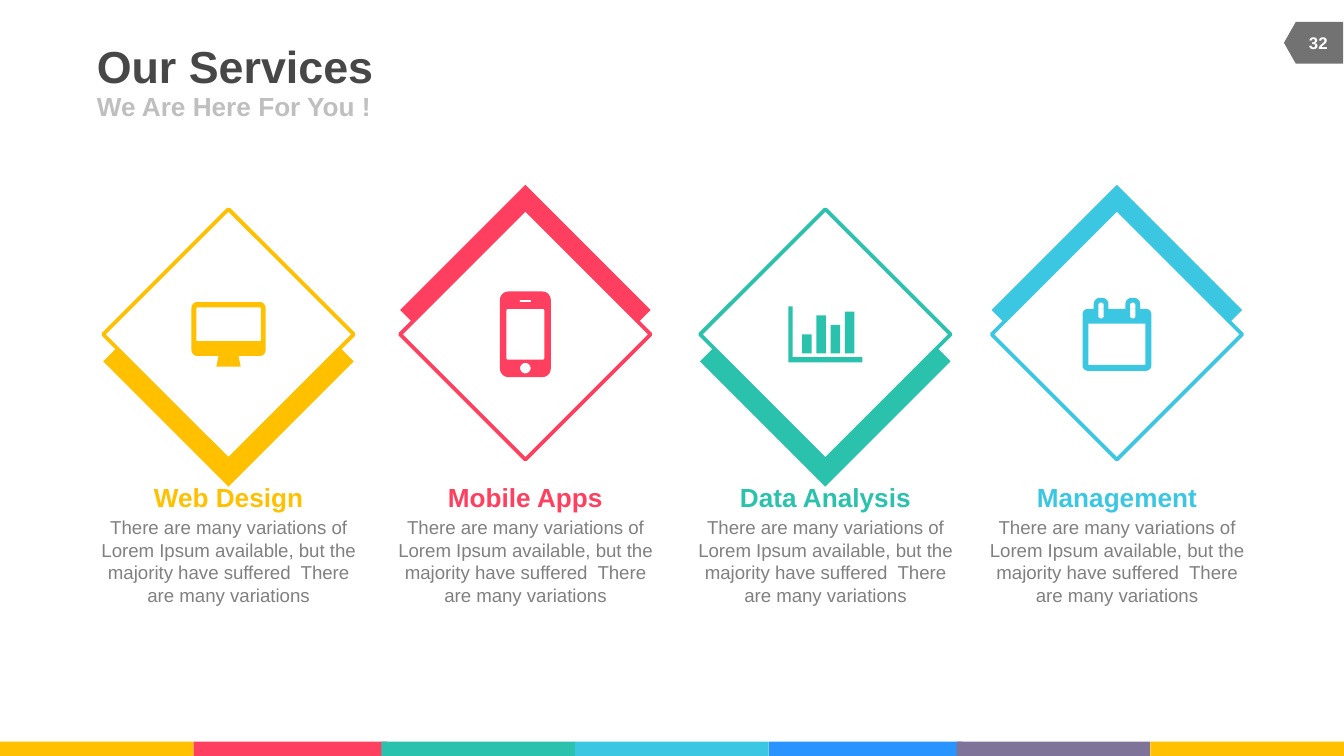
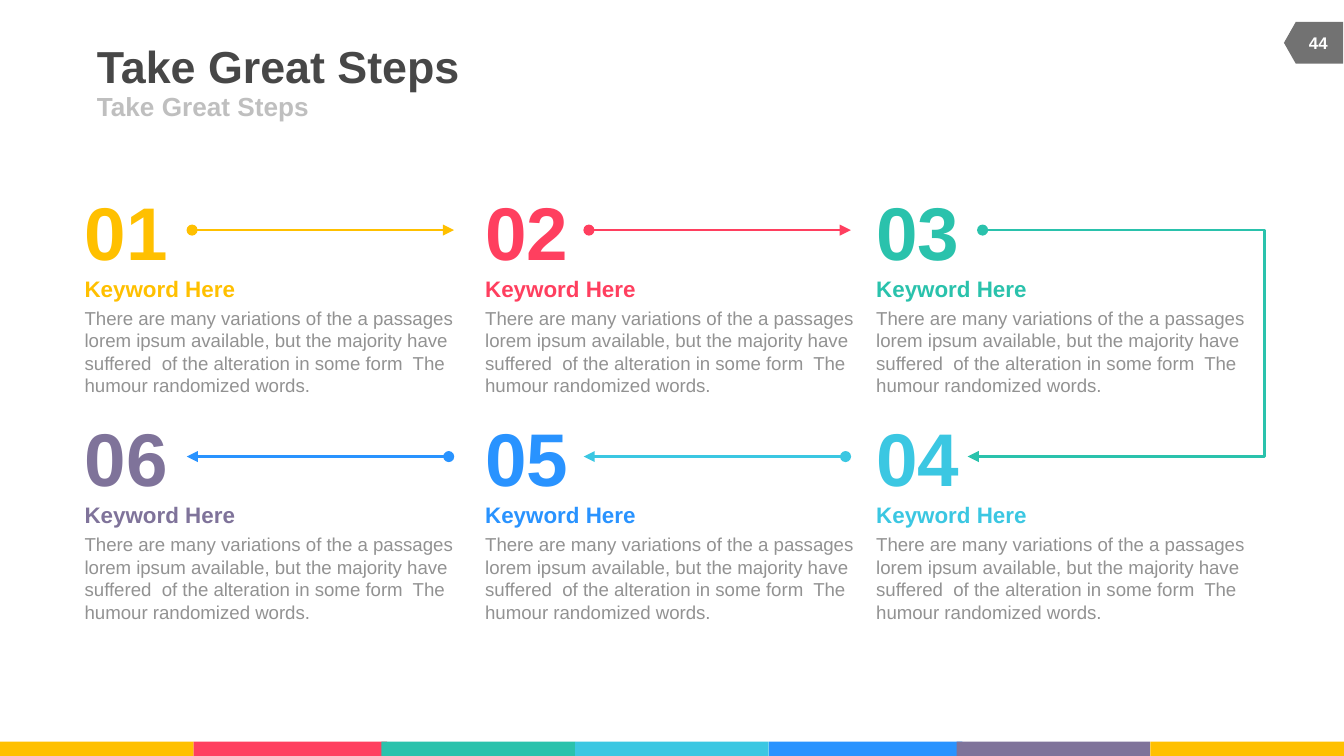
import math
from dataclasses import dataclass

import pptx
import pptx.dml.color
import pptx.enum.shapes
import pptx.enum.text
import pptx.oxml
import pptx.oxml.ns
import pptx.shapes.autoshape
import pptx.shapes.connector
import pptx.shapes.shapetree
import pptx.slide
import pptx.text.text
import pptx.util

Cm = pptx.util.Cm
Pt = pptx.util.Pt
Shape = pptx.enum.shapes.MSO_SHAPE
Connector = pptx.enum.shapes.MSO_CONNECTOR
Align = pptx.enum.text.PP_ALIGN
Anchor = pptx.enum.text.MSO_ANCHOR
Shapes = pptx.shapes.shapetree.SlideShapes
Point = tuple[float, float]
Contour = list[Point]

FONT = "Arial"
WHITE, DARK, BADGE = "FFFFFF", "474747", "727272"
SUBTITLE, SERVICE_TEXT, STEP_TEXT = "BFBFBF", "808080", "929292"
YELLOW, RED, GREEN = "FFC000", "FF3F5F", "2AC2AC"
CYAN, BLUE, PURPLE = "3BC7E2", "2993FF", "7F739A"
BAND_COLORS = (YELLOW, RED, GREEN, CYAN, BLUE, PURPLE, YELLOW)
BAND_LEFTS = (0, 3.66, 7.21, 10.87, 14.53, 18.08, 21.74)
SERVICE_BODY = (
    "There are many variations of Lorem Ipsum available, but the "
    "majority have suffered  There are many variations"
)
STEP_BODY = (
    "There are many variations of the a passages lorem ipsum available, "
    "but the majority have suffered  of the alteration in some form  "
    "The humour randomized words."
)


@dataclass(frozen=True)
class Box:
    """Position and size in centimetres."""

    left: float
    top: float
    width: float
    height: float

    def lengths(self) -> tuple[int, ...]:
        """Return the four lengths in drawing units."""
        return tuple(Cm(value) for value in (self.left, self.top, self.width, self.height))


@dataclass(frozen=True)
class TextLine:
    """One paragraph with its format."""

    text: str
    size: float
    color: str
    bold: bool = False
    align: Align = Align.LEFT
    space_before: float = 0


@dataclass(frozen=True)
class Service:
    """A diamond with an icon and a caption."""

    name: str
    color: str
    center: float
    band_shift: float
    icon: list[Contour]


@dataclass(frozen=True)
class Step:
    """A numbered step in the grid."""

    number: str
    color: str
    left: float
    top: float


@dataclass(frozen=True)
class Arrow:
    """A line between two points with its end marks."""

    color: str
    start: Point
    end: Point
    head: str = "oval"
    tail: str = "triangle"


def rgb(color: str) -> pptx.dml.color.RGBColor:
    """Turn a hex string into a colour."""
    return pptx.dml.color.RGBColor.from_string(color)


def write(frame: pptx.text.text.TextFrame, lines: list[TextLine], anchor: Anchor = Anchor.TOP,
          wrap: bool = True, inset: bool = False) -> None:
    """Fill a text frame with formatted paragraphs."""
    frame.word_wrap = wrap
    frame.vertical_anchor = anchor
    if not inset:
        frame.margin_left = frame.margin_right = frame.margin_top = frame.margin_bottom = 0
    for index, line in enumerate(lines):
        paragraph = frame.add_paragraph() if index else frame.paragraphs[0]
        paragraph.text = line.text
        paragraph.alignment = line.align
        if index:
            paragraph.space_before = Pt(line.space_before)
        paragraph.font.name = FONT
        paragraph.font.size = Pt(line.size)
        paragraph.font.bold = line.bold
        paragraph.font.color.rgb = rgb(line.color)


def add_text(shapes: Shapes, box: Box, lines: list[TextLine], anchor: Anchor = Anchor.TOP,
             wrap: bool = True, inset: bool = False) -> None:
    """Add a text box."""
    write(shapes.add_textbox(*box.lengths()).text_frame, lines, anchor, wrap, inset)


def paint(shape: pptx.shapes.autoshape.Shape, fill: str, line: str | None = None) -> None:
    """Set fill and outline and drop the shadow."""
    shape.shadow.inherit = False
    shape.fill.solid()
    shape.fill.fore_color.rgb = rgb(fill)
    if line:
        shape.line.color.rgb = rgb(line)
        shape.line.width = Pt(2)
    else:
        shape.line.fill.background()


def add_preset(shapes: Shapes, kind: Shape, box: Box, fill: str, rotation: float = 0,
               line: str | None = None) -> None:
    """Add a preset shape."""
    shape = shapes.add_shape(kind, *box.lengths())
    shape.rotation = rotation
    paint(shape, fill, line)


def add_page(presentation: pptx.presentation.Presentation, title: str, subtitle: str,
             number: str) -> Shapes:
    """Add a slide with title, subtitle, colour band and page badge."""
    shapes = presentation.slides.add_slide(presentation.slide_layouts[5]).shapes
    heading = shapes.title
    heading.left, heading.top, heading.width, heading.height = Box(1.83, 0.74, 15.67, 0.99).lengths()
    write(heading.text_frame, [TextLine(title, 24, DARK, True)], Anchor.MIDDLE, wrap=False)
    add_text(shapes, Box(1.83, 1.73, 11.43, 0.56), [TextLine(subtitle, 14, SUBTITLE, True)],
             Anchor.MIDDLE, wrap=False)
    for left, color in zip(BAND_LEFTS, BAND_COLORS):
        add_preset(shapes, Shape.RECTANGLE, Box(left, 14.02, 3.66, 0.27), color)
    add_preset(shapes, Shape.FLOWCHART_OFFPAGE_CONNECTOR, Box(24.43, 0.25, 0.79, 1.12), BADGE, 90)
    add_text(shapes, Box(24.38, 0.43, 1.07, 0.76), [TextLine(number, 9, WHITE, True, Align.CENTER)],
             Anchor.MIDDLE, inset=True)
    return shapes


def panel(left: float, top: float, right: float, bottom: float, upper: float = 0,
          lower: float = 0) -> Contour:
    """Outline a rectangle with rounded upper and lower corners."""
    corners = ((right, bottom, -1, -1, lower), (left, bottom, 1, -1, lower),
               (left, top, 1, 1, upper), (right, top, -1, 1, upper))
    points = []
    for quarter, (x, y, toward_x, toward_y, radius) in enumerate(corners):
        for step in range(7 if radius else 1):
            angle = math.radians(90 * quarter + 15 * step)
            points.append((x + radius * (toward_x + math.cos(angle)),
                           y + radius * (toward_y + math.sin(angle))))
    return points


def monitor_icon() -> list[Contour]:
    """Outline a desktop screen on a stand."""
    stand = [(-0.19, 0.41), (0.19, 0.41), (0.23, 0.61), (-0.23, 0.61)]
    return [panel(-0.7, -0.61, 0.7, 0.41, 0.11, 0.11), panel(-0.61, -0.51, 0.61, 0.13, 0.02, 0.02),
            stand]


def phone_icon() -> list[Contour]:
    """Outline a phone with speaker and button."""
    return [panel(-0.48, -0.81, 0.48, 0.81, 0.16, 0.16), panel(-0.36, -0.48, 0.36, 0.48, 0.03, 0.03),
            panel(-0.11, -0.65, 0.11, -0.61, 0.02, 0.02), panel(-0.1, 0.54, 0.1, 0.74, 0.1, 0.1)]


def chart_icon() -> list[Contour]:
    """Outline two axes with four bars."""
    axes = [(-0.7, -0.53), (-0.62, -0.53), (-0.62, 0.43), (0.7, 0.43), (0.7, 0.53), (-0.7, 0.53)]
    bars = [panel(-0.44 + 0.27 * index, top, -0.26 + 0.27 * index, 0.36)
            for index, top in enumerate((0, -0.36, -0.18, -0.43))]
    return [axes, *bars]


def calendar_icon() -> list[Contour]:
    """Outline a calendar page with two rings."""
    contours = [panel(-0.65, -0.48, 0.65, 0.69, 0.1, 0.1), panel(-0.54, -0.2, 0.54, 0.58)]
    for center in (-0.3, 0.3):
        contours.append(panel(center - 0.14, -0.69, center + 0.14, -0.48, 0.12))
        contours.append(panel(center - 0.05, -0.6, center + 0.05, -0.3, 0.04, 0.04))
    return contours


def add_icon(shapes: Shapes, contours: list[Contour], center: Point, color: str) -> None:
    """Draw the contours around a centre as one outline."""
    placed = [[(Cm(center[0] + x), Cm(center[1] + y)) for x, y in contour] for contour in contours]
    builder = shapes.build_freeform(*placed[0][0], scale=1.0)
    for index, points in enumerate(placed):
        if index:
            builder.move_to(*points[0])
        builder.add_line_segments(points[1:], close=True)
    paint(builder.convert_to_shape(), color)


def add_service(shapes: Shapes, service: Service) -> None:
    """Draw a service column."""
    side, middle = 3.35, 6.32
    left, top = service.center - side / 2, middle - side / 2
    add_preset(shapes, Shape.RECTANGLE, Box(left, top + service.band_shift, side, side),
               service.color, 315)
    add_preset(shapes, Shape.RECTANGLE, Box(left, top, side, side), WHITE, 315, service.color)
    add_icon(shapes, service.icon, (service.center, middle), service.color)
    add_text(shapes, Box(service.center - 2.75, 8.97, 5.5, 2.64),
             [TextLine(service.name, 14, service.color, True, Align.CENTER),
              TextLine(SERVICE_BODY, 10, SERVICE_TEXT, False, Align.CENTER, 2)], inset=True)


def add_step(shapes: Shapes, step: Step) -> None:
    """Draw a step with number, keyword and text."""
    add_text(shapes, Box(step.left, step.top, 1.57, 1.7),
             [TextLine(step.number, 40, step.color, True, Align.CENTER)], wrap=False)
    add_text(shapes, Box(step.left, step.top + 2.29, 6.97, 1.7), [TextLine(STEP_BODY, 10, STEP_TEXT)])
    add_text(shapes, Box(step.left, step.top + 1.69, 2.87, 0.51),
             [TextLine("Keyword Here", 12, step.color, True)], Anchor.MIDDLE, wrap=False)


def add_arrow(shapes: Shapes, arrow: Arrow,
              kind: Connector = Connector.STRAIGHT) -> pptx.shapes.connector.Connector:
    """Draw a connector with end marks and no shadow."""
    ends = [Cm(value) for value in (*arrow.start, *arrow.end)]
    connector = shapes.add_connector(kind, *ends)
    connector.line.color.rgb = rgb(arrow.color)
    connector.line.width = Pt(1.5)
    outline = connector.line._get_or_add_ln()
    for tag, mark in (("a:headEnd", arrow.head), ("a:tailEnd", arrow.tail)):
        element = pptx.oxml.xmlchemy.OxmlElement(tag)
        element.set("type", mark)
        outline.append(element)
    connector._element.spPr.append(pptx.oxml.xmlchemy.OxmlElement("a:effectLst"))
    return connector


def add_turn(shapes: Shapes, arrow: Arrow, bend: int) -> None:
    """Draw an elbow arrow that bends outside its two ends."""
    connector = add_arrow(shapes, arrow, Connector.ELBOW)
    guides = connector._element.spPr.find(pptx.oxml.ns.qn("a:prstGeom")).get_or_add_avLst()
    guide = pptx.oxml.xmlchemy.OxmlElement("a:gd")
    guide.set("name", "adj1")
    guide.set("fmla", f"val {bend}")
    guides.append(guide)


def build_services(presentation: pptx.presentation.Presentation) -> None:
    """Build the services slide."""
    shapes = add_page(presentation, "Our Services", "We Are Here For You !", "32")
    down, up = 0.51, -0.46
    for service in (
        Service("Web Design", YELLOW, 4.32, down, monitor_icon()),
        Service("Mobile Apps", RED, 9.93, up, phone_icon()),
        Service("Data Analysis", GREEN, 15.6, down, chart_icon()),
        Service("Management", CYAN, 21.11, up, calendar_icon()),
    ):
        add_service(shapes, service)


def build_steps(presentation: pptx.presentation.Presentation) -> None:
    """Build the steps slide."""
    shapes = add_page(presentation, "Take Great Steps", "Take Great Steps", "44")
    columns, rows = (1.6, 9.17, 16.56), (3.51, 7.79)
    colors = (YELLOW, RED, GREEN, CYAN, BLUE, PURPLE)
    for index, color in enumerate(colors):
        row, column = divmod(index, 3)
        left = columns[2 - column] if row else columns[column]
        add_step(shapes, Step(f"{index + 1:02}", color, left, rows[row]))
    upper, lower = (top + 0.84 for top in rows)
    length = 4.95
    for color, left, tail in ((YELLOW, 3.63, "triangle"), (RED, 11.13, "triangle"),
                              (GREEN, 18.57, "none")):
        add_arrow(shapes, Arrow(color, (left, upper), (left + length, upper), tail=tail))
    add_turn(shapes, Arrow(GREEN, (18.57 + length, upper), (18.29, lower), head="none"), -7250)
    for color, right in ((CYAN, 15.98), (BLUE, 8.48)):
        add_arrow(shapes, Arrow(color, (right, lower), (right - length, lower)))


def main() -> None:
    """Build and save the presentation."""
    presentation = pptx.Presentation()
    presentation.slide_width, presentation.slide_height = Cm(25.4), Cm(14.29)
    build_services(presentation)
    build_steps(presentation)
    presentation.save("out.pptx")


if __name__ == "__main__":
    main()
